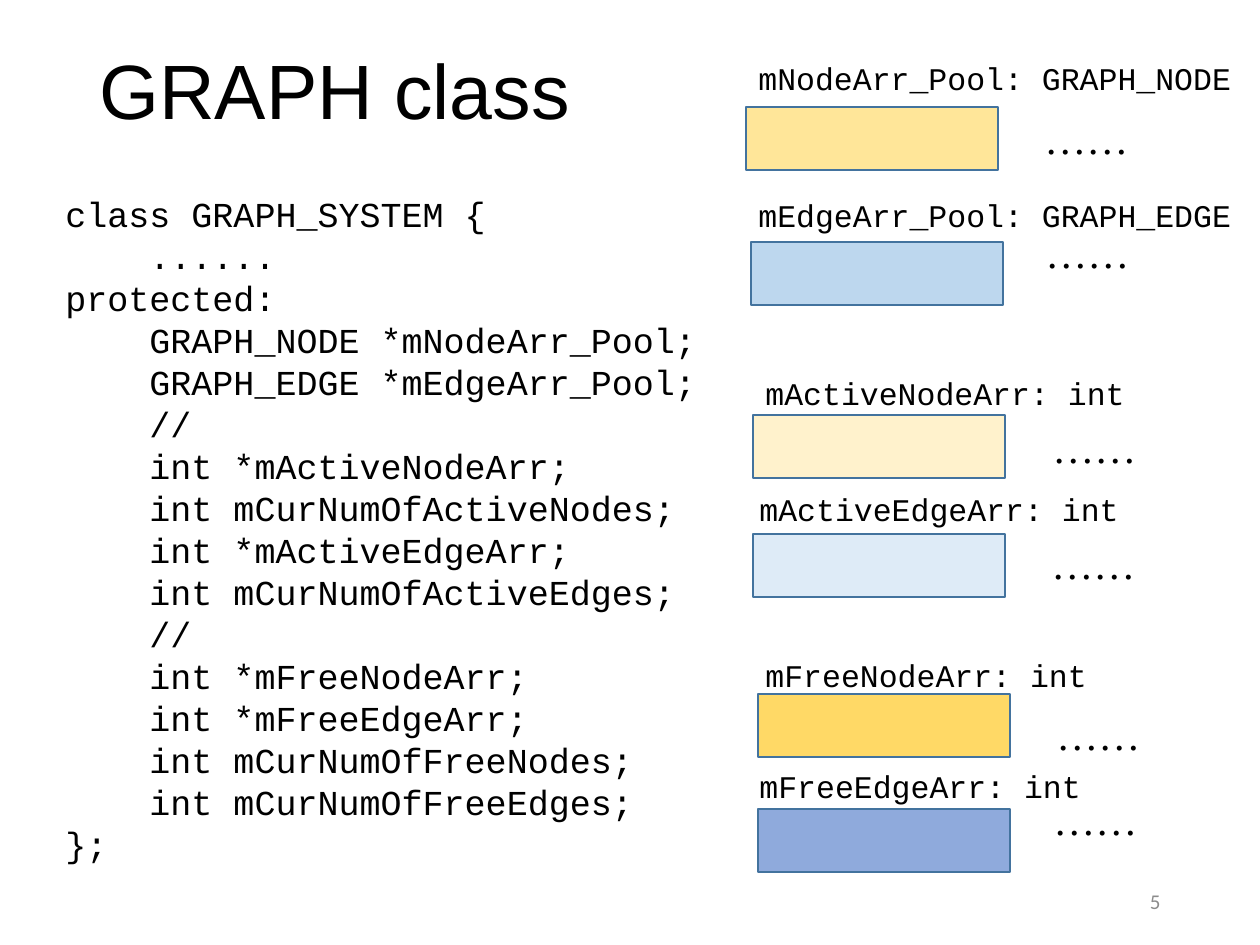
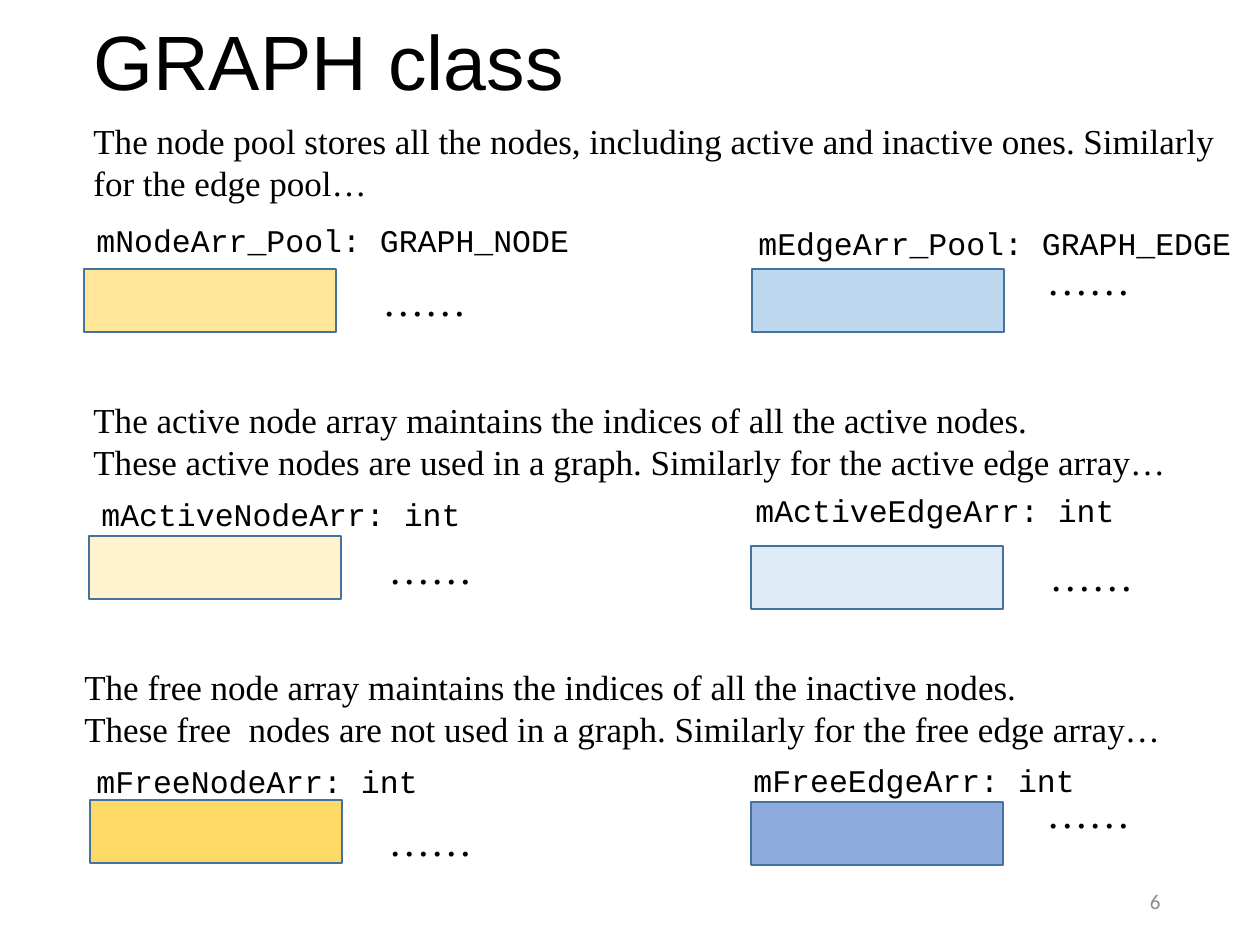
import pptx
import pptx.util
import pptx.dml.color
import pptx.enum.shapes
import pptx.enum.text

SCALE = 914400 / 126  # EMU in one px
HUES = {"ink": "000000", "page": "8C8C8C", "edge": "43739E"}
SANS, CODE, SERIF = "Arial", "Courier New", "Times New Roman"
ANCHOR = pptx.enum.text.MSO_ANCHOR
FIT = pptx.enum.text.MSO_AUTO_SIZE
ALIGN = pptx.enum.text.PP_ALIGN

# array name -> label, fill, offset of its dots from its box
ARRAYS = {
    "node pool": ("mNodeArr_Pool: GRAPH_NODE", "FFE699", 286, -1),
    "edge pool": ("mEdgeArr_Pool: GRAPH_EDGE", "BDD7EE", 282, -22),
    "active node": ("mActiveNodeArr: int", "FFF2CC", 287, 0),
    "active edge": ("mActiveEdgeArr: int", "DEEBF7", 286, -3),
    "free node": ("mFreeNodeArr: int", "FFD966", 286, 8),
    "free edge": ("mFreeEdgeArr: int", "8FAADC", 283, -22),
}

CLASS = """class GRAPH_SYSTEM {
    ......
protected:
    GRAPH_NODE *mNodeArr_Pool;
    GRAPH_EDGE *mEdgeArr_Pool;
    //
    int *mActiveNodeArr;
    int mCurNumOfActiveNodes;
    int *mActiveEdgeArr;
    int mCurNumOfActiveEdges;
    //
    int *mFreeNodeArr;
    int *mFreeEdgeArr;
    int mCurNumOfFreeNodes;
    int mCurNumOfFreeEdges;
};"""

POOLS = ("The node pool stores all the nodes, including active and inactive ones. "
         "Similarly for the edge pool…")
ACTIVE = """The active node array maintains the indices of all the active nodes.
These active nodes are used in a graph. Similarly for the active edge array…"""
FREE = """The free node array maintains the indices of all the inactive nodes.
These free  nodes are not used in a graph. Similarly for the free edge array…"""

# places: left and top of the box, then of the label
SLIDES = [
    {
        "page": "5",
        "title": (87, 3),
        "texts": [(CLASS, CODE, 53, 186, 1086, 692)],
        "places": [(746, 107, 746, 53), (751, 242, 746, 190),
                   (753, 415, 753, 368), (753, 534, 747, 484),
                   (758, 694, 753, 650), (758, 809, 747, 761)],
    },
    {
        "page": "6",
        "title": (81, -26),
        "texts": [(POOLS, SERIF, 81, 113, 1148, 97),
                  (ACTIVE, SERIF, 81, 392, 1148, 97),
                  (FREE, SERIF, 72, 659, 1148, 97)],
        "places": [(84, 269, 84, 215), (752, 269, 746, 218),
                   (89, 536, 89, 489), (751, 546, 743, 485),
                   (90, 800, 84, 756), (751, 802, 741, 755)],
    },
]


def px(*lengths):
    return [pptx.util.Emu(round(n * SCALE)) for n in lengths]


def write(slide, text, at, size, font, hue="ink", wrap=True, fit=FIT.SHAPE_TO_FIT_TEXT):
    """Add a text box, one paragraph a line, and return its frame."""
    frame = slide.shapes.add_textbox(*px(*at)).text_frame
    frame.text = text
    frame.word_wrap = wrap
    frame.auto_size = fit
    for par in frame.paragraphs:
        par.font.size = pptx.util.Pt(size)
        par.font.name = font
        par.font.color.rgb = pptx.dml.color.RGBColor.from_string(HUES[hue])
    return frame


deck = pptx.Presentation()
deck.slide_width, deck.slide_height = px(1260, 945)

for plan in SLIDES:
    slide = deck.slides.add_slide(deck.slide_layouts[6])

    page = write(slide, plan["page"], (890, 876, 283, 50), 12, "Calibri", "page", fit=FIT.NONE)
    page.vertical_anchor = ANCHOR.MIDDLE
    page.paragraphs[0].alignment = ALIGN.RIGHT

    title = write(slide, "GRAPH class", (*plan["title"], 1086, 183), 44, SANS, fit=FIT.NONE)
    title.vertical_anchor = ANCHOR.MIDDLE
    title.paragraphs[0].line_spacing = 0.9

    for text, font, *at in plan["texts"]:
        write(slide, text, at, 20, font)

    for array, (left, top, x, y) in zip(ARRAYS.values(), plan["places"]):
        label, fill, right, down = array
        box = slide.shapes.add_shape(pptx.enum.shapes.MSO_SHAPE.RECTANGLE, *px(left, top, 252, 63))
        box.shadow.inherit = False
        box.fill.solid()
        box.fill.fore_color.rgb = pptx.dml.color.RGBColor.from_string(fill)
        box.line.color.rgb = pptx.dml.color.RGBColor.from_string(HUES["edge"])
        box.line.width = pptx.util.Pt(1)
        write(slide, "……", (left + right, top + down, 111, 63), 24, SERIF, wrap=False)
        write(slide, label, (x, y, 19 * len(label) + 25, 50), 18, CODE, wrap=False)

deck.save("out.pptx")
